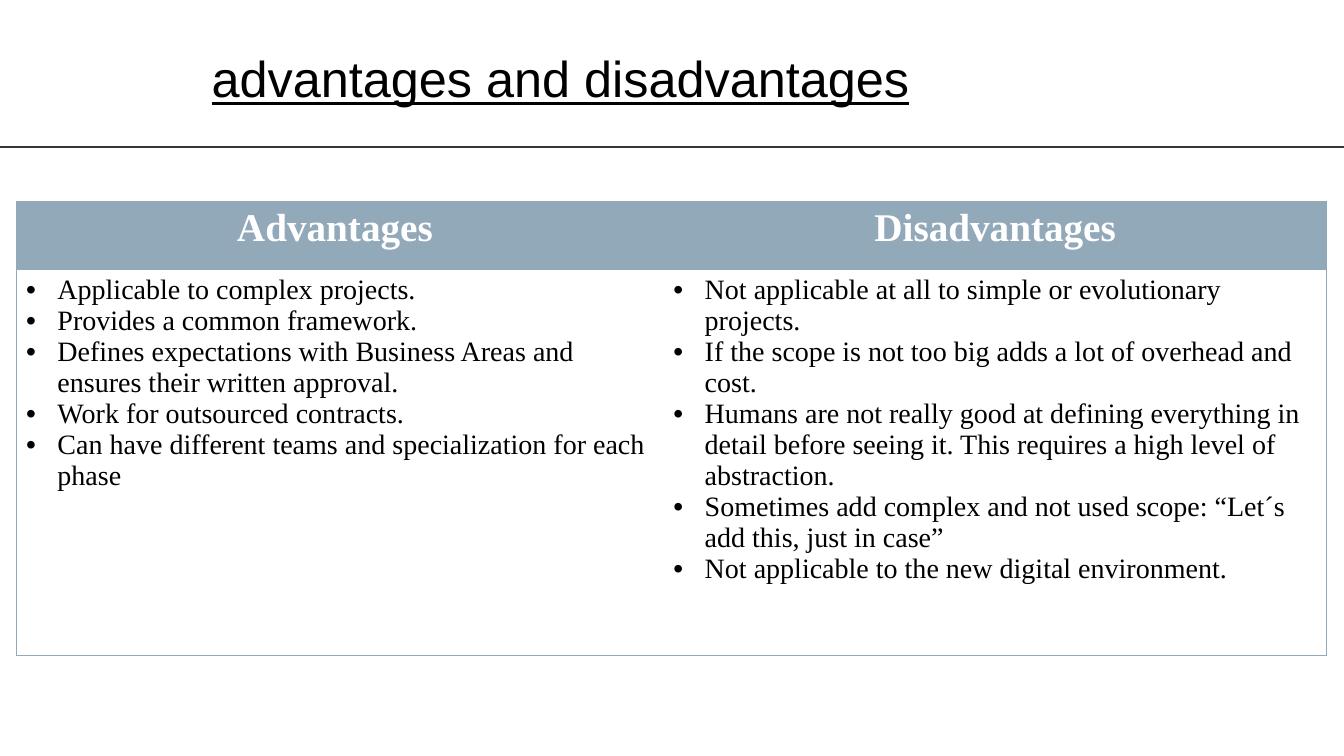
from dataclasses import dataclass

from lxml.etree import SubElement
from pptx import Presentation
from pptx.dml.color import RGBColor
from pptx.enum.shapes import MSO_CONNECTOR
from pptx.enum.text import PP_ALIGN
from pptx.oxml.ns import qn
from pptx.util import Inches, Pt

COLORS = {"rule": "353537", "header": "92A9B9", "white": "FFFFFF", "black": "000000"}
BODY_FONT = "Times New Roman"


@dataclass(frozen=True)
class Column:
    heading: str
    width: float
    outer_side: str
    points: tuple[str, ...]


COLUMNS = (
    Column("Advantages ", 6.42, "L", (
        "Applicable to complex projects.",
        "Provides a common framework.",
        "Defines expectations with Business Areas and ensures their written approval.",
        "Work for outsourced contracts.",
        "Can have different teams and specialization for each phase",
    )),
    Column("Disadvantages", 6.58, "R", (
        "Not applicable at all to simple or evolutionary projects.",
        "If the scope is not too big adds a lot of overhead and cost.",
        "Humans are not really good at defining everything in detail before seeing it. "
        "This requires a high level of abstraction.",
        "Sometimes add complex and not used scope: “Let´s add this, just in case”",
        "Not applicable to the new digital environment.",
    )),
)


def rgb(name: str) -> RGBColor:
    return RGBColor.from_string(COLORS[name])


def set_font(p, name: str, size: int, color: str, bold: bool = False) -> None:
    p.font.name = name
    p.font.size = Pt(size)
    p.font.bold = bold
    p.font.color.rgb = rgb(color)


def set_bullet(p) -> None:
    pPr = p._p.get_or_add_pPr()
    pPr.set("marL", str(Inches(0.31)))
    pPr.set("indent", str(Inches(-0.31)))
    bu_font = pPr.makeelement(qn("a:buFont"), {"typeface": "Arial"})
    bu_char = pPr.makeelement(qn("a:buChar"), {"char": "•"})
    pPr.insert(0, bu_font)
    pPr.insert(1, bu_char)


def set_borders(cell, sides: str) -> None:
    tcPr = cell._tc.get_or_add_tcPr()
    for i, side in enumerate("LRTB"):
        ln = tcPr.makeelement(qn(f"a:ln{side}"), {"w": str(Pt(0.75))})
        if side in sides:
            fill = SubElement(ln, qn("a:solidFill"))
            SubElement(fill, qn("a:srgbClr"), val=COLORS["header"])
        else:
            SubElement(ln, qn("a:noFill"))
        tcPr.insert(i, ln)


def add_rule(slide) -> None:
    line = slide.shapes.add_connector(
        MSO_CONNECTOR.STRAIGHT, 0, Inches(1.46), Inches(13.33), Inches(1.46))
    line.line.color.rgb = rgb("rule")
    line.line.width = Pt(1)
    SubElement(line._element.spPr, qn("a:effectLst"))


def add_title(slide) -> None:
    sp = slide.shapes.add_textbox(Inches(2), Inches(0.42), Inches(8.78), Inches(0.71))
    tf = sp.text_frame
    tf.word_wrap = True
    p = tf.paragraphs[0]
    p.text = "advantages and disadvantages"
    set_font(p, "Arial", 36, "black")
    p.font.underline = True


def fill_heading(cell, column: Column) -> None:
    cell.fill.solid()
    cell.fill.fore_color.rgb = rgb("header")
    set_borders(cell, "T" + column.outer_side)
    p = cell.text_frame.paragraphs[0]
    p.text = column.heading
    p.alignment = PP_ALIGN.CENTER
    set_font(p, BODY_FONT, 28, "white", bold=True)


def fill_points(cell, column: Column) -> None:
    cell.fill.background()
    set_borders(cell, "TB" + column.outer_side)
    tf = cell.text_frame
    tf.text = "\n".join(column.points)
    for p in tf.paragraphs:
        set_font(p, BODY_FONT, 20, "black")
        set_bullet(p)


def add_comparison(slide) -> None:
    heights = (0.67, 3.83)
    table = slide.shapes.add_table(
        len(heights), len(COLUMNS), Inches(0.16), Inches(2),
        Inches(sum(c.width for c in COLUMNS)), Inches(sum(heights))).table
    table.first_row = False
    table.horz_banding = False
    for row, height in zip(table.rows, heights):
        row.height = Inches(height)
    for i, column in enumerate(COLUMNS):
        table.columns[i].width = Inches(column.width)
        fill_heading(table.cell(0, i), column)
        fill_points(table.cell(1, i), column)


def main() -> None:
    prs = Presentation()
    prs.slide_width = Inches(13.33)
    prs.slide_height = Inches(7.5)
    slide = prs.slides.add_slide(prs.slide_layouts[6])
    add_rule(slide)
    add_title(slide)
    add_comparison(slide)
    prs.save("out.pptx")


if __name__ == "__main__":
    main()
